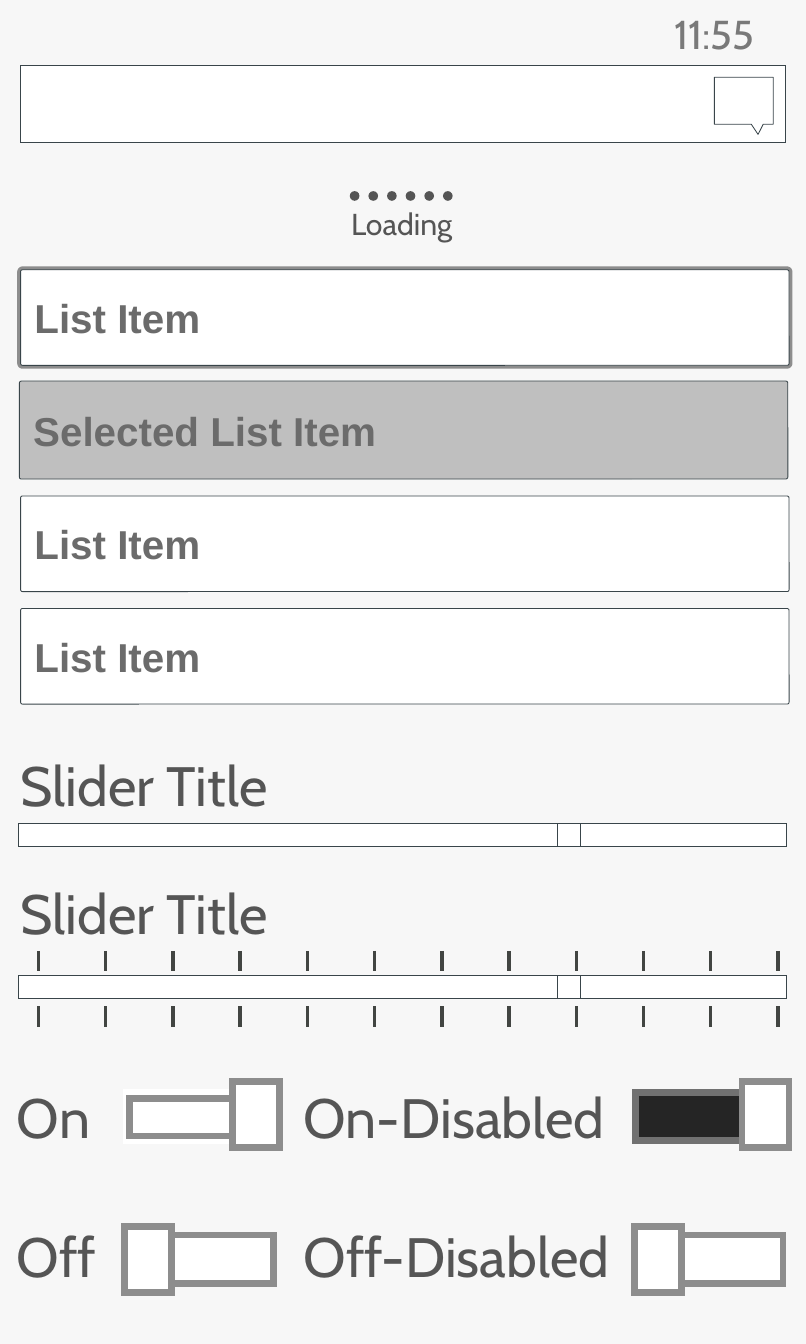
from lxml import etree
from pptx import Presentation
from pptx.dml.color import RGBColor
from pptx.enum.shapes import MSO_CONNECTOR, MSO_SHAPE
from pptx.enum.text import MSO_ANCHOR, PP_ALIGN
from pptx.oxml.ns import qn
from pptx.util import Pt

THEME = {
    "background": "F7F7F7", "white": "FFFFFF", "outline": "39454A",
    "frame": "8D8D8D", "disabled_frame": "717171", "dark": "252525",
    "selected": "BFBFBF", "tick": "424542",
    "label": "555555", "item": "6B6B6B", "clock": "797979",
    "label_font": "Cabin", "item_font": "Arial",
    "title_size": 33, "item_size": 24, "clock_size": 24, "loading_size": 18,
    "thin": 0.5, "thick": 4, "tick_width": 2,
}

# All lengths below are points.
SLIDE_SIZE = (479.52, 799.92)
CLOCK = ("11:55", 401.04, 5.76, 72, 28.8)
SEARCH_BAR = (12.24, 38.88, 455.04, 46.08)
BUBBLE = [(424.8, 46.08), (424.8, 74.16), (447.12, 74.16), (450.72, 79.92),
          (453.6, 74.16), (460.08, 74.16), (460.08, 46.08)]
LOADING = ("Loading", 10.08, 120.24, 457.92, 28.8)
DOTS = {"count": 6, "x": 208.08, "y": 113.76, "step": 11.09, "size": 5.76}
FOCUS_RING = (12.24, 160.56, 457.2, 56.88)
LIST_ITEMS = [  # text, box, fill
    ("List Item", FOCUS_RING, "white"),
    ("Selected List Item", (11.52, 226.8, 457.2, 58.32), "selected"),
    ("List Item", (12.24, 295.2, 457.2, 56.88), "white"),
    ("List Item", (12.24, 362.16, 457.2, 56.88), "white"),
]
SLIDERS = [  # title, title top, bar top, has ticks
    ("Slider Title", 443.52, 490.32, False),
    ("Slider Title", 519.84, 580.32, True),
]
SLIDER_PARTS = [(12.24, 455.76), (10.8, 323.28), (331.92, 13.68)]
BAR_HEIGHT = 13.68
TICKS = {"count": 12, "x": 22.9, "step": 40, "length": 12.24,
         "offsets": (-14.4, 18.72)}
SWITCH_LABELS = [  # text, left, top, width
    ("On", 10.08, 641.52, 77.76), ("Off", 10.08, 724.32, 77.76),
    ("On-Disabled", 180.72, 641.52, 195.12),
    ("Off-Disabled", 180.72, 724.32, 195.12),
]
LABEL_HEIGHT = 46.08
SWITCHES = [  # left, top, is on, fill, frame
    (74.88, 650.16, True, "dark", "white"),
    (74.88, 735.12, False, "white", "frame"),
    (378, 735.12, False, "white", "frame"),
    (378, 650.16, True, "dark", "disabled_frame"),
]
SWITCH_SIZE = (87.84, 28.8)
ON_INSET = (77.04, 653.76, 71.28, 22.32)
KNOB_SIZE = (28.08, 39.24)
KNOB_OFFSET = {True: (63.36, -6.48), False: (-0.72, -5.04)}


def color(name):
    return RGBColor.from_string(THEME[name])


def paint(sp, fill, line=None, width="thin"):
    sp.shadow.inherit = False
    sp.fill.solid()
    sp.fill.fore_color.rgb = color(fill)
    if line:
        sp.line.color.rgb = color(line)
        sp.line.width = Pt(THEME[width])
    else:
        sp.line.fill.background()


def add_box(s, box, fill, line=None, width="thin", kind=MSO_SHAPE.RECTANGLE,
            radius=None):
    sp = s.shapes.add_shape(kind, *map(Pt, box))
    paint(sp, fill, line, width)
    if radius is not None:
        sp.adjustments[0] = radius
    elif line:
        etree.SubElement(sp.line._get_or_add_ln(), qn("a:miter"), lim="800000")
    return sp


def write(sp, text, *, size="title_size", font="label_font", ink="label",
          bold=False, align=PP_ALIGN.LEFT, inset=0, spacing=None):
    tf = sp.text_frame
    tf.word_wrap = True
    tf.vertical_anchor = MSO_ANCHOR.MIDDLE
    tf.margin_left = tf.margin_right = Pt(inset)
    tf.margin_top = tf.margin_bottom = Pt(inset)
    p = tf.paragraphs[0]
    p.alignment = align
    if spacing:
        p.line_spacing = spacing
    r = p.add_run()
    r.text = text
    r.font.size = Pt(THEME[size])
    r.font.name = THEME[font]
    r.font.bold = bold
    r.font.color.rgb = color(ink)


def add_label(s, text, x, y, w, h, **fmt):
    write(s.shapes.add_textbox(Pt(x), Pt(y), Pt(w), Pt(h)), text, **fmt)


def add_tick(s, x, y):
    line = s.shapes.add_connector(MSO_CONNECTOR.STRAIGHT, Pt(x), Pt(y),
                                  Pt(x), Pt(y + TICKS["length"]))
    line.line.color.rgb = color("tick")
    line.line.width = Pt(THEME["tick_width"])
    etree.SubElement(line._element.spPr, qn("a:effectLst"))


def add_header(s):
    add_label(s, *CLOCK, size="clock_size", ink="clock")
    add_box(s, SEARCH_BAR, "white", "outline")
    builder = s.shapes.build_freeform(*BUBBLE[0], scale=Pt(1))
    builder.add_line_segments(BUBBLE[1:], close=True)
    paint(builder.convert_to_shape(), "white", "outline")


def add_loading(s):
    add_label(s, *LOADING, size="loading_size", align=PP_ALIGN.CENTER,
              spacing=0.9)
    for i in range(DOTS["count"]):
        box = (DOTS["x"] + i * DOTS["step"], DOTS["y"], DOTS["size"], DOTS["size"])
        add_box(s, box, "label", kind=MSO_SHAPE.OVAL)


def add_list(s):
    rounded = {"kind": MSO_SHAPE.ROUNDED_RECTANGLE, "radius": 0.02}
    add_box(s, FOCUS_RING, "white", "frame", "thick", **rounded)
    for text, box, fill in LIST_ITEMS:
        sp = add_box(s, box, fill, "outline", **rounded)
        write(sp, text, size="item_size", font="item_font", ink="item",
              bold=True, inset=7.92)


def add_slider(s, title, title_top, top, has_ticks):
    add_label(s, title, 12.24, title_top, 457.92, LABEL_HEIGHT)
    for x, w in SLIDER_PARTS:
        add_box(s, (x, top, w, BAR_HEIGHT), "white", "outline")
    if has_ticks:
        for i in range(TICKS["count"]):
            for offset in TICKS["offsets"]:
                add_tick(s, TICKS["x"] + i * TICKS["step"], top + offset)


def add_switch(s, x, y, is_on, fill, frame):
    add_box(s, (x, y, *SWITCH_SIZE), fill, frame, "thick")
    if frame == "white":
        add_box(s, ON_INSET, "white", "frame", "thick")
    dx, dy = KNOB_OFFSET[is_on]
    add_box(s, (x + dx, y + dy, *KNOB_SIZE), "white", "frame", "thick")


def main():
    prs = Presentation()
    prs.slide_width, prs.slide_height = map(Pt, SLIDE_SIZE)
    s = prs.slides.add_slide(prs.slide_layouts[6])
    s.background.fill.solid()
    s.background.fill.fore_color.rgb = color("background")
    add_header(s)
    add_loading(s)
    add_list(s)
    for slider in SLIDERS:
        add_slider(s, *slider)
    for switch in SWITCHES:
        add_switch(s, *switch)
    for text, x, y, w in SWITCH_LABELS:
        add_label(s, text, x, y, w, LABEL_HEIGHT)
    prs.save("out.pptx")


if __name__ == "__main__":
    main()
